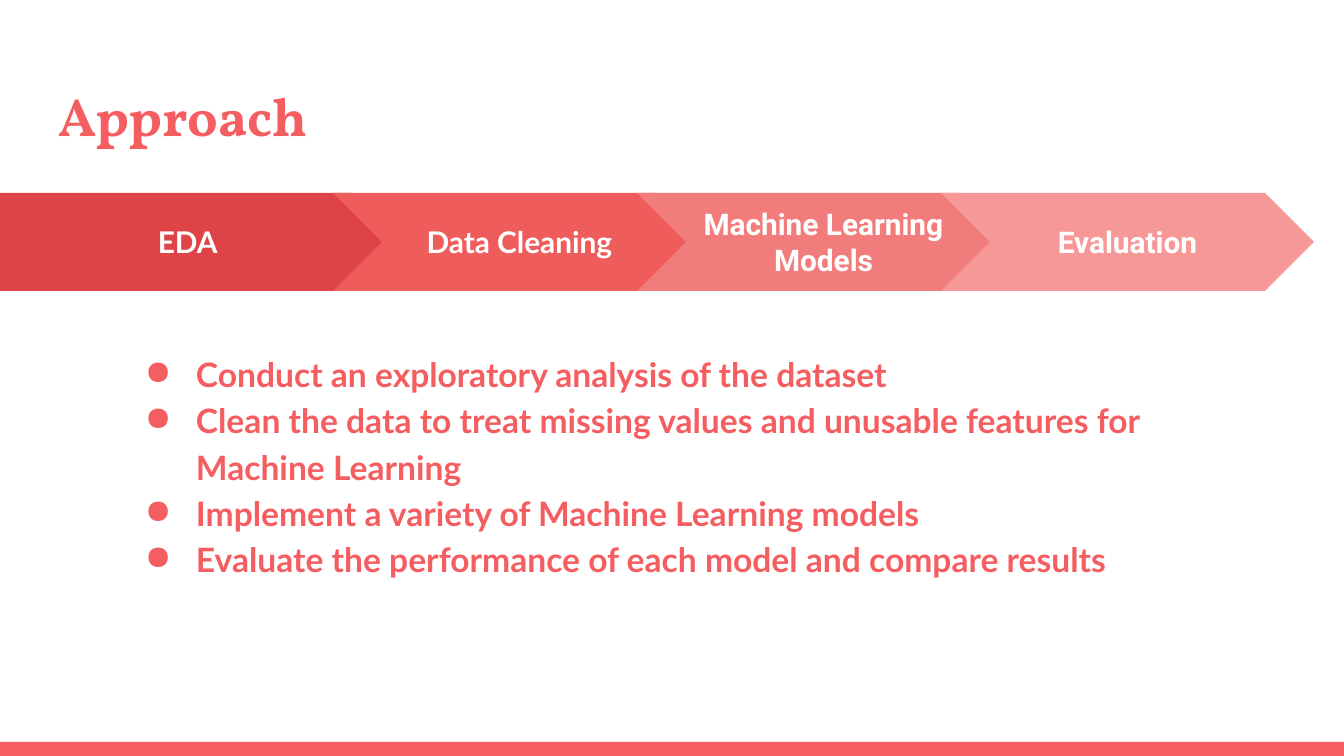
from lxml.etree import SubElement
from pptx import Presentation
from pptx.dml.color import RGBColor
from pptx.enum.shapes import MSO_SHAPE
from pptx.enum.text import MSO_ANCHOR, MSO_AUTO_SIZE, PP_ALIGN
from pptx.oxml.ns import qn
from pptx.util import Pt

CORAL = RGBColor(0xF5, 0x5E, 0x61)
CRIMSON = RGBColor(0xDE, 0x44, 0x47)
RED = RGBColor(0xEF, 0x5C, 0x5C)
SALMON = RGBColor(0xF2, 0x7B, 0x7B)
PINK = RGBColor(0xF6, 0x98, 0x98)
WHITE = RGBColor(0xFF, 0xFF, 0xFF)

TITLE = "Approach"
STEPS = [
    ("EDA", CRIMSON, "Lato"),
    ("Data Cleaning", RED, "Lato"),
    ("Machine Learning Models", SALMON, "Roboto"),
    ("Evaluation", PINK, "Roboto"),
]
TASKS = [
    "Conduct an exploratory analysis of the dataset",
    "Clean the data to treat missing values and unusable features for Machine Learning",
    "Implement a variety of Machine Learning models",
    "Evaluate the performance of each model and compare results",
]

WIDE, HIGH = 1344, 756
TOP, TALL = 193, 98
FIRST, START, PITCH, SPAN = 400, 333, 304, 373
INSET = 13


def px(count):
    return round(count * 914400 / 134.4)


def place(shape, *box):
    shape.left, shape.top, shape.width, shape.height = map(px, box)


def frame(shape, anchor):
    text = shape.text_frame
    text.word_wrap = True
    text.auto_size = MSO_AUTO_SIZE.NONE
    text.vertical_anchor = anchor
    text.margin_left = text.margin_right = px(INSET)
    text.margin_top = text.margin_bottom = px(INSET)
    return text


def write(para, words, face, size, color, align):
    para.text = words
    para.alignment = align
    font = para.font
    font.name, font.size, font.bold = face, Pt(size), True
    font.color.rgb = color


def block(slide, kind, color, *box):
    shape = slide.shapes.add_shape(kind, *map(px, box))
    shape.shadow.inherit = False
    shape.fill.solid()
    shape.fill.fore_color.rgb = color
    shape.line.fill.background()
    return shape


def bullet(para):
    props = para._p.get_or_add_pPr()
    props.set("marL", str(px(67)))
    props.set("indent", str(px(-51)))
    tint = SubElement(props, qn("a:buClr"))
    SubElement(tint, qn("a:srgbClr"), val=str(CORAL))
    SubElement(props, qn("a:buChar"), char="●")


def main():
    deck = Presentation()
    deck.slide_width, deck.slide_height = px(WIDE), px(HIGH)
    slide = deck.slides.add_slide(deck.slide_layouts[5])

    block(slide, MSO_SHAPE.RECTANGLE, CORAL, 0, 742, WIDE, 14)

    title = slide.shapes.title
    place(title, 46, 70, 1252, 91)
    text = frame(title, MSO_ANCHOR.TOP)
    write(text.paragraphs[0], TITLE, "Vollkorn", 28.8, CORAL, PP_ALIGN.LEFT)

    body = slide.shapes.add_textbox(*map(px, (116, 335, 1114, 294)))
    text = frame(body, MSO_ANCHOR.TOP)
    for i, task in enumerate(TASKS):
        para = text.add_paragraph() if i else text.paragraphs[0]
        bullet(para)
        write(para, task, "Lato", 18, CORAL, PP_ALIGN.LEFT)
        para.line_spacing = 1.15

    for i, (name, color, face) in enumerate(STEPS):
        kind = MSO_SHAPE.CHEVRON if i else MSO_SHAPE.PENTAGON
        left, width = (START + (i - 1) * PITCH, SPAN) if i else (0, FIRST)
        arrow = block(slide, kind, color, left, TOP, width, TALL)
        arrow.adjustments[0] = 0.5
        text = frame(arrow, MSO_ANCHOR.MIDDLE)
        write(text.paragraphs[0], name, face, 16, WHITE, PP_ALIGN.CENTER)

    deck.save("out.pptx")


if __name__ == "__main__":
    main()
